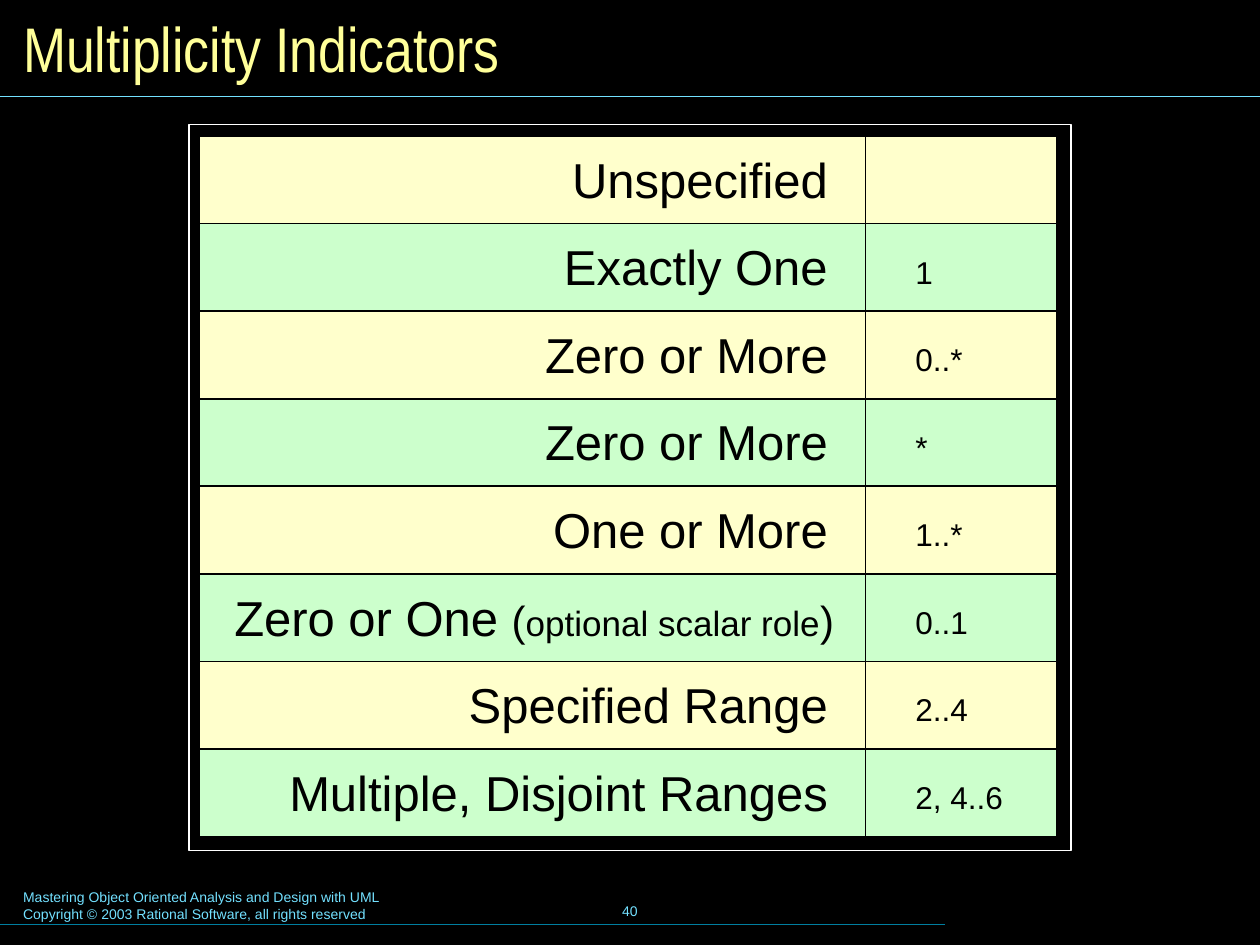
from dataclasses import dataclass
from typing import NamedTuple

from pptx import Presentation
from pptx import util as u
from pptx.dml.color import RGBColor
from pptx.enum import shapes, text
from pptx.oxml.ns import qn
from lxml import etree


@dataclass(frozen=True)
class Theme:
    background: str = "000000"
    ink: str = "000000"
    title: str = "FFFF99"
    accent: str = "73E1FF"
    footer_rule: str = "007E9F"
    frame: str = "FFFFFF"
    bands: tuple[str, str] = ("FFFFCC", "CCFFCC")
    font: str = "Arial"
    title_font: str = "Arial Narrow"
    title_size: float = 36
    label_size: float = 28
    bracket_size: float = 24
    remark_size: float = 20
    value_size: float = 18
    footer_size: float = 8


class Box(NamedTuple):
    """Left, top, width and height in grid cells."""
    x: float
    y: float
    w: float
    h: float


@dataclass(frozen=True)
class Row:
    label: str
    label_width: float
    value: str = ""
    value_width: float = 0
    remark: str = ""


THEME = Theme()
COLUMNS, LINES = 100, 75  # the slide as a grid of square cells
CELL = u.Inches(0.1)
TABLE_TOP, ROW_STEP, ROW_HEIGHT = 10.8, 6.95, 7.0
LABEL_X, LABEL_W = 15.8, 52.9
VALUE_X, VALUE_W = 68.35, 15.5
LABEL_RIGHT, REMARK_RIGHT, VALUE_TEXT_X = 66.9, 67.4, 72.65

ROWS = [
    Row("Unspecified", 23),
    Row("Exactly One", 23.7),
    Row("Zero or More", 25.2, "0..*", 4),
    Row("Zero or More", 25.2, "*", 1.2),
    Row("One or More", 24.6, "1..*", 4),
    Row("Zero or One ", 50.3, "0..1", 4.4, "optional scalar role"),
    Row("Specified Range", 31.3, "2..4", 4.4),
    Row("Multiple, Disjoint Ranges", 45.6, "2, 4..6", 7.2),
]
ROWS[1] = Row("Exactly One", 23.7, "1", 1.6)


def cells(*lengths: float) -> list[int]:
    return [round(n * CELL) for n in lengths]


def add_rect(s, box: Box, fill: str | None, line: str, weight: float) -> None:
    rect = s.shapes.add_shape(shapes.MSO_SHAPE.RECTANGLE, *cells(*box))
    rect.shadow.inherit = False
    if fill:
        rect.fill.solid()
        rect.fill.fore_color.rgb = RGBColor.from_string(fill)
    else:
        rect.fill.background()
    rect.line.color.rgb = RGBColor.from_string(line)
    rect.line.width = u.Pt(weight)


def add_rule(s, y: float, width: float, color: str) -> None:
    rule = s.shapes.add_connector(shapes.MSO_CONNECTOR.STRAIGHT, *cells(0, y, width, y))
    rule.line.color.rgb = RGBColor.from_string(color)
    rule.line.width = u.Pt(0.75)
    etree.SubElement(rule._element.spPr, qn("a:effectLst"))


def add_text(s, box: Box, lines: list[str], size: float, color: str,
             font: str = THEME.font, inset: tuple[float, float] = (1, 0.5),
             wrap: bool = False, align=text.PP_ALIGN.LEFT,
             anchor=text.MSO_ANCHOR.TOP, grow: bool = False):
    """Add a text box with one paragraph per line; return its last paragraph."""
    tf = s.shapes.add_textbox(*cells(*box)).text_frame
    tf.word_wrap = wrap
    if grow:
        tf.auto_size = text.MSO_AUTO_SIZE.SHAPE_TO_FIT_TEXT
    tf.vertical_anchor = anchor
    tf.margin_left = tf.margin_right = cells(inset[0])[0]
    tf.margin_top = tf.margin_bottom = cells(inset[1])[0]
    for i, line in enumerate(lines):
        p = tf.add_paragraph() if i else tf.paragraphs[0]
        p.alignment = align
        p.font.size = u.Pt(size)
        p.font.name = font
        p.font.color.rgb = RGBColor.from_string(color)
        p.add_run().text = line
    return p


def add_remark(p, remark: str) -> None:
    """Append a smaller remark in brackets."""
    for part, size in (("(", THEME.bracket_size), (remark, THEME.remark_size),
                       (")", THEME.bracket_size)):
        r = p.add_run()
        r.text = part
        r.font.size = u.Pt(size)


def add_row(s, index: int, row: Row) -> None:
    y = TABLE_TOP + index * ROW_STEP
    band = THEME.bands[index % 2]
    for x, width in ((VALUE_X, VALUE_W), (LABEL_X, LABEL_W)):
        add_rect(s, Box(x, y, width, ROW_HEIGHT), band, THEME.ink, 1)
    right = REMARK_RIGHT if row.remark else LABEL_RIGHT
    p = add_text(s, Box(right - row.label_width, y + 0.45, row.label_width, 5.9),
                 [row.label], THEME.label_size, THEME.ink, inset=(1.2, 0.6),
                 align=text.PP_ALIGN.RIGHT, grow=True)
    if row.remark:
        add_remark(p, row.remark)
    if row.value:
        add_text(s, Box(VALUE_TEXT_X, y + 2.3, row.value_width, 3), [row.value],
                 THEME.value_size, THEME.ink, inset=(0, 0), grow=True)


def add_footer(s) -> None:
    add_text(s, Box(0.85, 70.05, 51, 3.7),
             ["Mastering Object Oriented Analysis and Design with UML",
              "Copyright © 2003 Rational Software, all rights reserved"],
             THEME.footer_size, THEME.accent, wrap=True)
    add_text(s, Box(34.15, 69.8, 31.7, 5), ["40"], THEME.footer_size, THEME.accent,
             align=text.PP_ALIGN.CENTER, anchor=text.MSO_ANCHOR.MIDDLE)
    add_rule(s, 73.35, COLUMNS * 0.75, THEME.footer_rule)


def main() -> None:
    prs = Presentation()
    prs.slide_width, prs.slide_height = cells(COLUMNS, LINES)
    s = prs.slides.add_slide(prs.slide_layouts[6])
    s.background.fill.solid()
    s.background.fill.fore_color.rgb = RGBColor.from_string(THEME.background)

    add_footer(s)
    add_rule(s, 7.65, COLUMNS, THEME.accent)
    add_text(s, Box(0.85, 0.85, 98.4, 5.8), ["Multiplicity Indicators"],
             THEME.title_size, THEME.title, THEME.title_font, wrap=True,
             anchor=text.MSO_ANCHOR.MIDDLE)
    for index, row in enumerate(ROWS):
        add_row(s, index, row)
    add_rect(s, Box(15, 9.9, 70, 57.6), None, THEME.frame, 0.75)
    prs.save("out.pptx")


if __name__ == "__main__":
    main()
